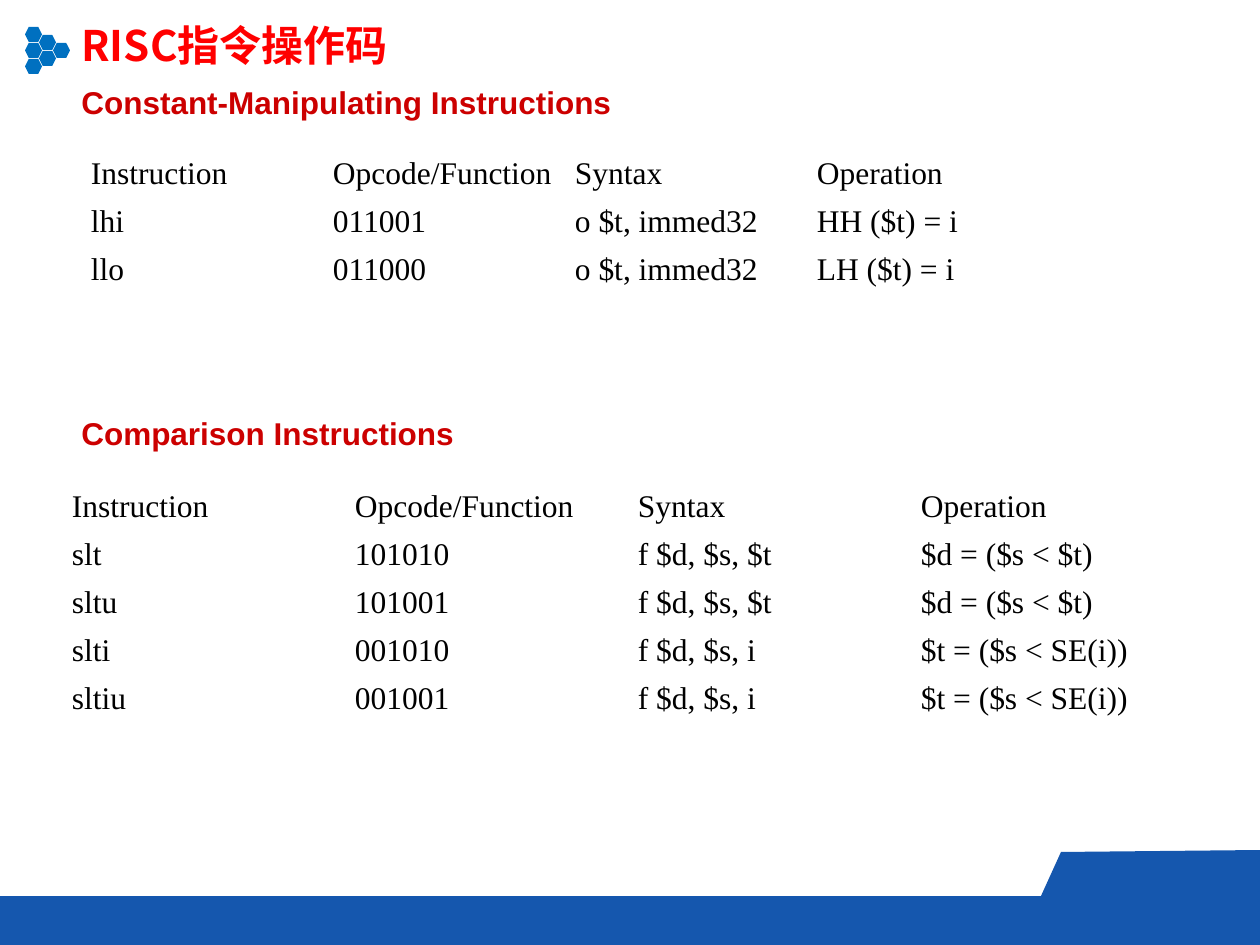
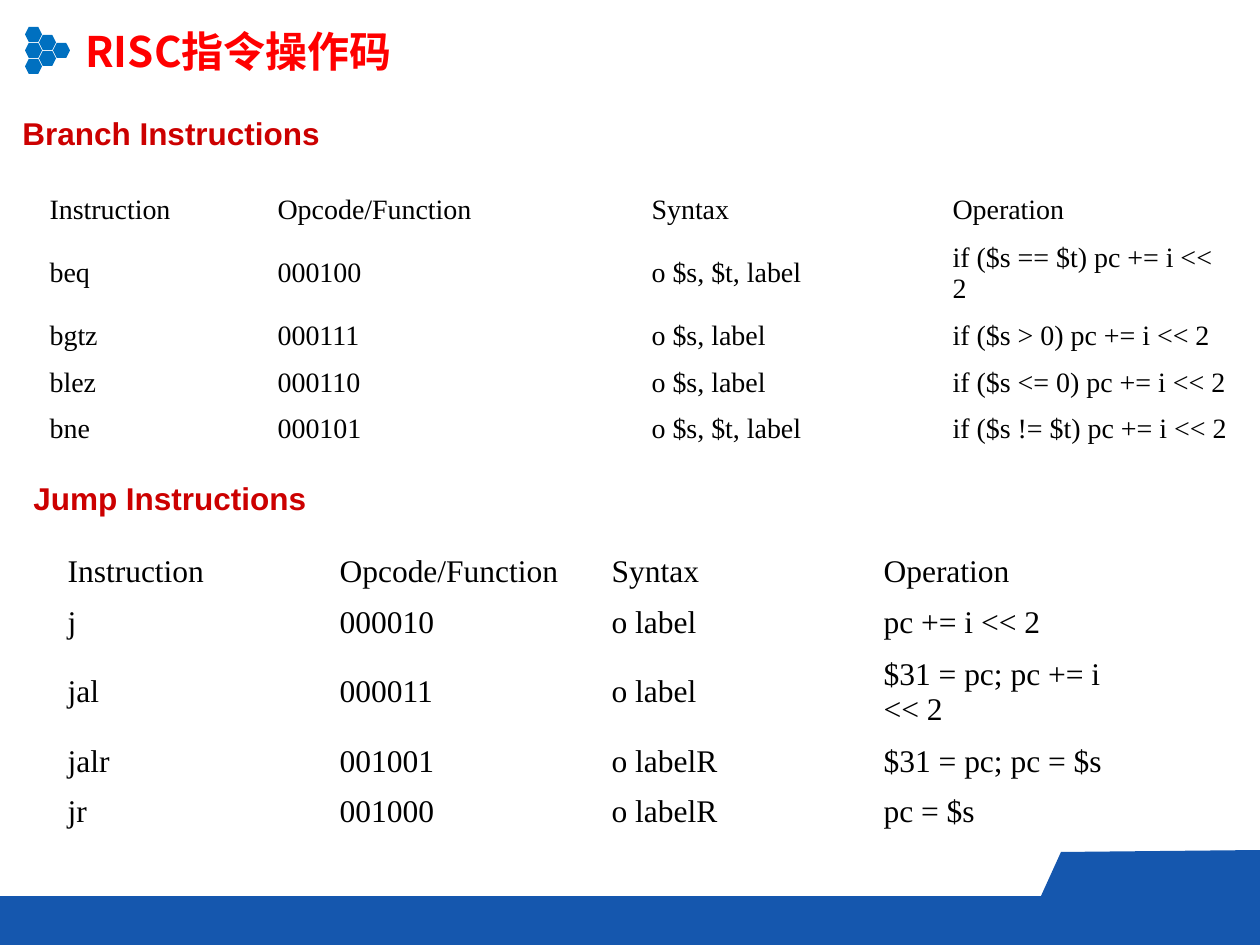
import pptx
import pptx.dml.color
import pptx.enum.shapes
import pptx.enum.text
import pptx.oxml.ns
import pptx.util
from lxml import etree

RGBColor = pptx.dml.color.RGBColor
MSO_SHAPE = pptx.enum.shapes.MSO_SHAPE
PP_ALIGN = pptx.enum.text.PP_ALIGN
MSO_ANCHOR = pptx.enum.text.MSO_ANCHOR

EMU_PER_PX = 914400 / 126
SLIDE_W, SLIDE_H = 1260, 945
FOOTER_TOP = 896

TITLE_RED = RGBColor(0xFF, 0x00, 0x00)
HEADING_RED = RGBColor(0xCC, 0x00, 0x00)
HEXAGON_BLUE = RGBColor(0x00, 0x70, 0xC0)
FOOTER_BLUE = RGBColor(0x15, 0x57, 0xAE)
BLACK = RGBColor(0x00, 0x00, 0x00)
WHITE = RGBColor(0xFF, 0xFF, 0xFF)

TITLE_FONT = "Noto Sans CJK SC"
HEADING_FONT = "Arial"
TABLE_FONT = "Times New Roman"

TITLE = "RISC指令操作码"
COLUMN_HEADS = ("Instruction", "Opcode/Function", "Syntax", "Operation")
CONSTANT_ROWS = [
    ("lhi", "011001", "o $t, immed32", "HH ($t) = i"),
    ("llo", "011000", "o $t, immed32", "LH ($t) = i"),
]
COMPARISON_ROWS = [
    ("slt", "101010", "f $d, $s, $t", "$d = ($s < $t)"),
    ("sltu", "101001", "f $d, $s, $t", "$d = ($s < $t)"),
    ("slti", "001010", "f $d, $s, i", "$t = ($s < SE(i))"),
    ("sltiu", "001001", "f $d, $s, i", "$t = ($s < SE(i))"),
]
BRANCH_ROWS = [
    ("beq", "000100", "o $s, $t, label", "if ($s == $t) pc += i << 2"),
    ("bgtz", "000111", "o $s, label", "if ($s > 0) pc += i << 2"),
    ("blez", "000110", "o $s, label", "if ($s <= 0) pc += i << 2"),
    ("bne", "000101", "o $s, $t, label", "if ($s != $t) pc += i << 2"),
]
JUMP_ROWS = [
    ("j", "000010", "o label", "pc += i << 2"),
    ("jal", "000011", "o label", "$31 = pc; pc += i << 2"),
    ("jalr", "001001", "o labelR", "$31 = pc; pc = $s"),
    ("jr", "001000", "o labelR", "pc = $s"),
]


def px(length):
    return pptx.util.Emu(round(length * EMU_PER_PX))


def set_font(paragraph, name, size, color, bold=False):
    font = paragraph.font
    font.name, font.size, font.bold = name, pptx.util.Pt(size), bold
    font.color.rgb = color


def paint(shape, color):
    """Give a plain fill without outline or shadow."""
    shape.fill.solid()
    shape.fill.fore_color.rgb = color
    shape.line.fill.background()
    shape.shadow.inherit = False


def add_preset(slide, preset, left, top, width, height, color):
    paint(slide.shapes.add_shape(preset, px(left), px(top), px(width), px(height)), color)


def add_honeycomb(slide):
    for column, count in enumerate((3, 2, 1)):
        for row in range(count):
            add_preset(slide, MSO_SHAPE.HEXAGON, 25 + 14 * column,
                       27 + 8 * column + 16 * row, 17, 15, HEXAGON_BLUE)


def add_footer(slide):
    add_preset(slide, MSO_SHAPE.FLOWCHART_PROCESS, 0, FOOTER_TOP,
               SLIDE_W, SLIDE_H - FOOTER_TOP, FOOTER_BLUE)
    tab = slide.shapes.build_freeform(SLIDE_W, FOOTER_TOP, scale=EMU_PER_PX)
    tab.add_line_segments([(SLIDE_W, 850), (1061, 852), (1041, FOOTER_TOP)])
    paint(tab.convert_to_shape(), FOOTER_BLUE)


def add_line_of_text(slide, text, left, top, width, height, wrap):
    frame = slide.shapes.add_textbox(px(left), px(top), px(width), px(height)).text_frame
    frame.word_wrap = wrap
    frame.text = text
    return frame.paragraphs[0]


def add_title(slide, left, top):
    title = add_line_of_text(slide, TITLE, left, top, 1082, 63, True)
    set_font(title, TITLE_FONT, 24, TITLE_RED, bold=True)
    run_properties = title.runs[0].font
    run_properties.name = TITLE_FONT
    latin = title.runs[0]._r.rPr.find(pptx.oxml.ns.qn("a:latin"))
    east_asian = etree.Element(pptx.oxml.ns.qn("a:ea"), typeface=TITLE_FONT)
    latin.addnext(east_asian)


def add_heading(slide, text, left, top, width, wrap=False):
    heading = add_line_of_text(slide, text, left, top, width, 50, wrap)
    heading.alignment = PP_ALIGN.JUSTIFY
    set_font(heading, HEADING_FONT, 18, HEADING_RED, bold=True)


def add_instructions(slide, rows, left, top, widths, heights, size=18,
                     inset=None, fill=None):
    """Add a table of instructions; inset applies to all four cell sides."""
    table = slide.shapes.add_table(len(rows) + 1, len(widths), px(left), px(top),
                                   px(sum(widths)), px(sum(heights))).table
    table.first_row = table.horz_banding = False
    for column, width in zip(table.columns, widths):
        column.width = px(width)
    for row, height, texts in zip(table.rows, heights, [COLUMN_HEADS, *rows]):
        row.height = px(height)
        for cell, text in zip(row.cells, texts):
            cell.text = text
            cell.vertical_anchor = MSO_ANCHOR.MIDDLE
            set_font(cell.text_frame.paragraphs[0], TABLE_FONT, size, BLACK)
            if inset is not None:
                cell.margin_left = cell.margin_right = px(inset)
                cell.margin_top = cell.margin_bottom = px(inset)
            if fill is None:
                cell.fill.background()
            else:
                cell.fill.solid()
                cell.fill.fore_color.rgb = fill


def add_base_slide(deck):
    slide = deck.slides.add_slide(deck.slide_layouts[6])
    add_honeycomb(slide)
    add_footer(slide)
    return slide


def add_constant_and_comparison(deck):
    slide = add_base_slide(deck)
    add_heading(slide, "Constant-Manipulating Instructions", 69, 77, 561)
    add_instructions(slide, CONSTANT_ROWS, 86, 150, [242] * 4, [48] * 3, inset=5)
    add_heading(slide, "Comparison Instructions", 69, 408, 402)
    add_instructions(slide, COMPARISON_ROWS, 67, 483, [283] * 4, [48] * 5, inset=5)
    add_title(slide, 69, 13)


def add_branch_and_jump(deck):
    slide = add_base_slide(deck)
    add_heading(slide, "Branch Instructions", 10, 108, 326)
    add_instructions(slide, BRANCH_ROWS, 37, 187, [228, 374, 301, 301],
                     [46, 80, 46, 46, 46], size=16, fill=WHITE)
    add_heading(slide, "Jump Instructions", 21, 473, 630, wrap=True)
    add_instructions(slide, JUMP_ROWS, 55, 547, [272] * 4, [50, 50, 88, 50, 50])
    add_title(slide, 73, 19)


def main():
    deck = pptx.Presentation()
    deck.slide_width, deck.slide_height = px(SLIDE_W), px(SLIDE_H)
    add_constant_and_comparison(deck)
    add_branch_and_jump(deck)
    deck.save("out.pptx")


if __name__ == "__main__":
    main()
